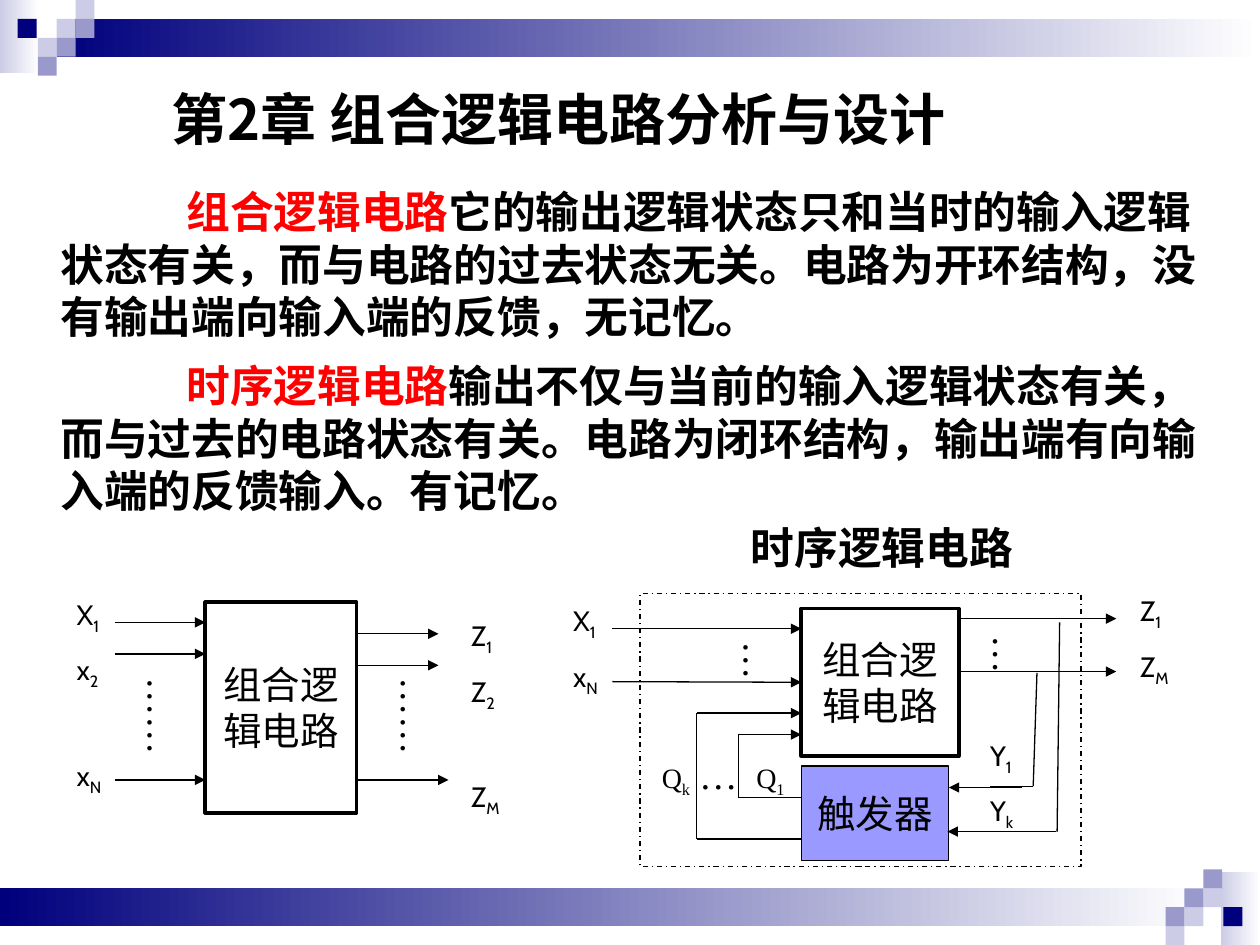
from pptx import Presentation
from pptx import util as u
from pptx.dml.color import RGBColor
from pptx.enum import dml, shapes, text
from pptx.oxml.ns import qn
from lxml import etree

PX = 9144  # 100 px to the inch
NOTO, CABIN, TIMES = "Noto Sans CJK SC", "Cabin", "Times New Roman"
BLACK, RED = "000000", "FF0000"
NAVY, PALE, MID = "00007D", "CCCCE6", "9999CC"


def rgb(code):
    return RGBColor.from_string(code)


def emu(*vals):
    return [u.Emu(v * PX) for v in vals]


class Deck:
    def __init__(self):
        self.prs = Presentation()
        self.prs.slide_width, self.prs.slide_height = emu(1000, 750)
        self.slide = self.prs.slides.add_slide(self.prs.slide_layouts[1])
        self.items = self.slide.shapes

    def run(self, para, words, size, font=CABIN, color=BLACK, bold=False, sub=False):
        run = para.add_run()
        run.text = words
        run.font.size, run.font.name, run.font.bold = u.Pt(size), font, bold
        run.font.color.rgb = rgb(color)
        props = run.font._element
        etree.SubElement(props, qn("a:ea")).set("typeface", font)
        if sub:
            props.set("baseline", "-25000")

    def holder(self, idx, at):
        item = self.slide.placeholders[idx]
        item.left, item.top, item.width, item.height = emu(*at)
        item.text_frame.auto_size = text.MSO_AUTO_SIZE.NONE
        return item.text_frame

    def title(self, at, words):
        frame = self.holder(0, at)
        frame.vertical_anchor = text.MSO_ANCHOR.MIDDLE
        para = frame.paragraphs[0]
        para.alignment = text.PP_ALIGN.LEFT
        self.run(para, words, 32, NOTO, bold=True)

    def body(self, at, parts):
        frame = self.holder(1, at)
        for i, (gap, term, rest) in enumerate(parts):
            para = frame.add_paragraph() if i else frame.paragraphs[0]
            para.space_before = u.Pt(gap)
            props = para._p.get_or_add_pPr()
            props.set("marL", str(11 * PX))
            props.set("indent", str(100 * PX))
            etree.SubElement(props, qn("a:buNone"))
            self.run(para, term, 25, NOTO, RED, True)
            self.run(para, rest, 25, NOTO, bold=True)

    def rect(self, at, fill=None, line=None, width=0.75, dash=None):
        item = self.items.add_shape(shapes.MSO_SHAPE.RECTANGLE, *emu(*at))
        item.shadow.inherit = False
        if fill is None:
            item.fill.background()
        else:
            item.fill.solid()
            item.fill.fore_color.rgb = rgb(fill)
        if line is None:
            item.line.fill.background()
        else:
            item.line.color.rgb = rgb(line)
            item.line.width = u.Pt(width)
            if dash:
                item.line.dash_style = dash
        return item

    def fade(self, at, color):
        item = self.rect(at)
        item.fill.gradient()
        item.fill.gradient_angle = 0
        for stop, code, place in zip(item.fill.gradient_stops, (color, "FFFFFF"), (0, 1)):
            stop.color.rgb = rgb(code)
            stop.position = place

    def block(self, at, lines, fill=None, width=2.25):
        item = self.rect(at, fill, BLACK, width)
        frame = item.text_frame
        frame.word_wrap = False
        frame.vertical_anchor = text.MSO_ANCHOR.MIDDLE
        for i, words in enumerate(lines):
            para = frame.add_paragraph() if i else frame.paragraphs[0]
            para.alignment = text.PP_ALIGN.CENTER
            self.run(para, words, 22)
        return item

    def box(self, at):
        frame = self.items.add_textbox(*emu(*at)).text_frame
        frame.word_wrap = True
        return frame

    def label(self, at, words, size, gap=0, font=CABIN, bold=False):
        frame = self.box(at)
        para = frame.paragraphs[0]
        para.space_before = u.Pt(gap)
        self.run(para, words, size, font, bold=bold)
        return frame

    def dots(self, at, words):
        frame = self.label(at, words, 22, 13.8, TIMES)
        frame.margin_left, frame.margin_right = emu(5, 5)
        frame.margin_top, frame.margin_bottom = emu(10, 10)
        frame._txBody.bodyPr.set("vert", "eaVert")

    def names(self, at, pairs, font=CABIN, align=None):
        """Signal names: letter, subscript and space before, in points."""
        frame = self.box(at)
        for i, (base, sub, gap) in enumerate(pairs):
            para = frame.add_paragraph() if i else frame.paragraphs[0]
            para.space_before = u.Pt(gap)
            para.alignment = align
            self.run(para, base, 16, font)
            self.run(para, sub, 16, font, sub=True)

    def wire(self, x1, y1, x2, y2, head=False):
        item = self.items.add_connector(
            shapes.MSO_CONNECTOR.STRAIGHT, *emu(x1, y1, x2, y2))
        item.line.color.rgb = rgb(BLACK)
        item.line.width = u.Pt(0.75)
        if head:
            etree.SubElement(item.line._get_or_add_ln(), qn("a:tailEnd")).set("type", "triangle")
        etree.SubElement(item._element.spPr, qn("a:effectLst"))
        return item


def main():
    deck = Deck()

    # Corner ornaments: the lower one is the upper one turned about the centre
    fades = [(0, 0, 31, 58, PALE), (45, 15, 955, 30, NAVY)]
    tiles = [(45, 15, PALE), (60, 0, PALE), (60, 15, MID), (30, 30, PALE),
             (14, 15, NAVY), (45, 30, MID), (30, 45, MID)]
    for turn in (False, True):
        def spot(x, y, w, h):
            return (1000 - x - w, 750 - y - h, w, h) if turn else (x, y, w, h)
        for *at, color in fades:
            deck.fade(spot(*at), color)
        for x, y, color in tiles:
            deck.rect(spot(x, y, 15, 15), color)

    # Title and definitions
    deck.title((126, 31, 855, 125), "第2章 组合逻辑电路分析与设计")
    deck.body((27, 142, 953, 273), [
        (15.6, "组合逻辑电路",
         "它的输出逻辑状态只和当时的输入逻辑状态有关，而与电路的过去状态无关。"
         "电路为开环结构，没有输出端向输入端的反馈，无记忆。"),
        (9.4, "时序逻辑电路",
         "输出不仅与当前的输入逻辑状态有关，而与过去的电路状态有关。"
         "电路为闭环结构，输出端有向输入端的反馈输入。有记忆。"),
    ])

    # Combinational circuit
    logic = ["组合逻", "辑电路"]
    deck.block((163, 478, 120, 167), logic)
    for y in (494, 519, 619):
        deck.wire(91, y, 163, y, True)
    for y, end in ((503, 348), (528, 348), (619, 356)):
        deck.wire(284, y, end, y, True)
    for x in (97, 298):
        deck.dots((x, 528, 56, 100), "……")
    deck.names((51, 469, 80, 170), [("X", "1", 10), ("x", "2", 10), ("x", "N", 38.5)])
    deck.names((364, 486, 104, 170), [("Z", "1", 10), ("Z", "2", 10), ("Z", "M", 38.5)])

    # Sequential circuit: blocks and frame
    deck.label((586, 408, 233, 52), "时序逻辑电路", 25, bold=True)
    core = deck.block((636, 483, 125, 117), logic)
    deck.block((636, 608, 117, 75), ["触发器"], "9999FF", 0.75)
    deck.rect((508, 471, 350, 217), line=BLACK, dash=dml.MSO_LINE.DASH_DOT)

    # Inputs and outputs
    deck.wire(486, 499, 636, 499, True)
    deck.wire(486, 541, 636, 541, True).end_connect(core, 1)
    for y in (491, 533):
        deck.wire(761, y, 886, y, True)

    # Feedback from the flip-flop to the inputs
    for x, top, low in ((553, 566, 666), (586, 583, 633)):
        deck.wire(x, top, 636, top, True)
        deck.wire(x, top, x, low)
        deck.wire(x, low, 636, low)

    # Outputs led down to the flip-flop
    deck.wire(841, 494, 839, 660)
    deck.wire(838, 660, 752, 660, True)
    deck.wire(823, 534, 820, 624)
    deck.wire(786, 624, 820, 624)
    deck.wire(811, 625, 753, 625, True)

    # Signal names and dots
    deck.names((445, 474, 67, 129), [("X", "1", 10), ("x", "N", 10)])
    deck.names((895, 466, 58, 85), [("Z", "1", 10), ("Z", "M", 10)])
    deck.names((776, 581, 75, 85), [("Y", "1", 10), ("Y", "k", 10)])
    for x, sub in ((570, "1"), (495, "k")):
        deck.names((x, 599, 83, 41), [("Q", sub, 10)], TIMES, text.PP_ALIGN.CENTER)
    deck.dots((570, 499, 56, 100), "…")
    deck.dots((768, 494, 56, 100), "…")
    deck.label((545, 591, 58, 47), "…", 22, 13.8, TIMES)

    deck.prs.save("out.pptx")


if __name__ == "__main__":
    main()
